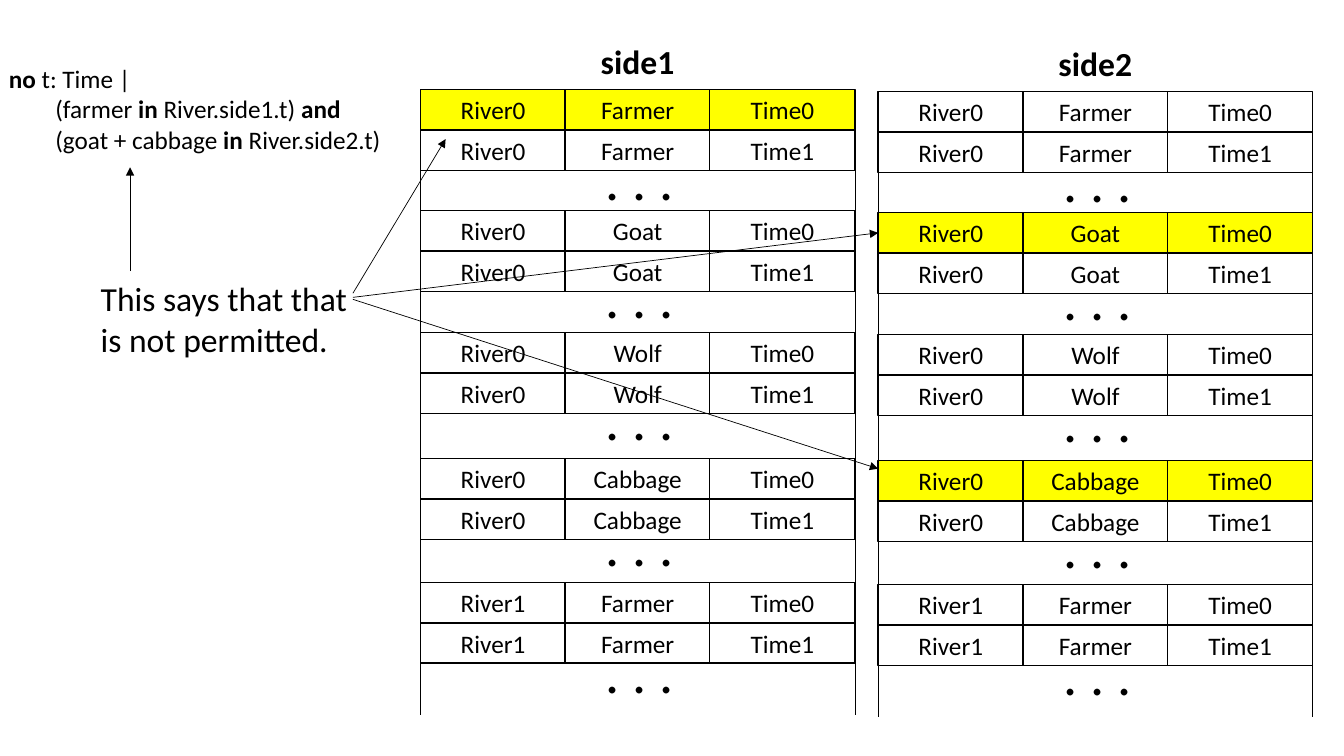
from dataclasses import dataclass

from lxml import etree
from pptx import Presentation
from pptx.dml.color import RGBColor
from pptx.enum.shapes import MSO_CONNECTOR, MSO_SHAPE
from pptx.enum.text import MSO_ANCHOR, MSO_AUTO_SIZE, PP_ALIGN
from pptx.oxml.ns import qn
from pptx.util import Inches, Pt

RECTANGLE = MSO_SHAPE.RECTANGLE
STRAIGHT = MSO_CONNECTOR.STRAIGHT
MIDDLE = MSO_ANCHOR.MIDDLE
CENTER = PP_ALIGN.CENTER
FIT_SHAPE = MSO_AUTO_SIZE.SHAPE_TO_FIT_TEXT


@dataclass(frozen=True)
class Theme:
    font: str = "Calibri"
    ink: RGBColor = RGBColor(0, 0, 0)
    plain: RGBColor = RGBColor(255, 255, 255)
    highlight: RGBColor = RGBColor(255, 255, 0)
    body: Pt = Pt(18)
    heading: Pt = Pt(24)
    dots: Pt = Pt(40)
    cell_line: Pt = Pt(1)
    thin_line: Pt = Pt(0.5)


theme = Theme()

presentation = Presentation()
presentation.slide_width = Inches(13.33)
presentation.slide_height = Inches(7.5)
slide = presentation.slides.add_slide(presentation.slide_layouts[6])


def add_text(box, lines, size, wrap=False, indents=None):
    shape = slide.shapes.add_textbox(*map(Inches, box))
    frame = shape.text_frame
    frame.word_wrap = wrap
    frame.auto_size = FIT_SHAPE
    for index, line in enumerate(lines):
        paragraph = frame.paragraphs[0] if index == 0 else frame.add_paragraph()
        if indents:
            paragraph._p.get_or_add_pPr().set("marL", str(Inches(indents[index])))
        for text, bold in line:
            run = paragraph.add_run()
            run.text = text
            run.font.color.rgb = theme.ink
            for name, value in {"name": theme.font, "size": size, "bold": bold}.items():
                setattr(run.font, name, value)


def add_line(start, end, arrow=False):
    connector = slide.shapes.add_connector(STRAIGHT, *map(Inches, start + end))
    connector.line.color.rgb = theme.ink
    connector.line.width = theme.thin_line
    properties = connector._element.spPr
    if arrow:
        etree.SubElement(properties.find(qn("a:ln")), qn("a:tailEnd"), type="triangle")
    etree.SubElement(properties, qn("a:effectLst"))


CELL_WIDTH, CELL_HEIGHT = 1.44, 0.4
COLUMN_STEP = 1.435
TABLE_WIDTH = 4.31

groups = [
    ("River0", "Farmer", 0.89, 1.38),
    ("River0", "Goat", 2.09, 2.56),
    ("River0", "Wolf", 3.3, 3.77),
    ("River0", "Cabbage", 4.55, 5.02),
    ("River1", "Farmer", 5.78, 6.28),
]
sides = [
    ("side1", 4.17, 0, {("River0", "Farmer", "Time0")}),
    ("side2", 8.71, 0.02, {("River0", "Goat", "Time0"), ("River0", "Cabbage", "Time0")}),
]

for side, left, drop, highlighted in sides:
    for river, passenger, group_top, dots_top in groups:
        for row, time in enumerate(("Time0", "Time1")):
            values = (river, passenger, time)
            for column, value in enumerate(values):
                cell = slide.shapes.add_shape(
                    RECTANGLE,
                    Inches(left + column * COLUMN_STEP),
                    Inches(group_top + drop + row * CELL_HEIGHT),
                    Inches(CELL_WIDTH),
                    Inches(CELL_HEIGHT),
                )
                cell.shadow.inherit = False
                cell.fill.solid()
                cell.fill.fore_color.rgb = theme.highlight if values in highlighted else theme.plain
                cell.line.color.rgb = theme.ink
                cell.line.width = theme.cell_line
                cell.text_frame.vertical_anchor = MIDDLE
                paragraph = cell.text_frame.paragraphs[0]
                paragraph.alignment = CENTER
                run = paragraph.add_run()
                run.text = value
                run.font.name = theme.font
                run.font.size = theme.body
                run.font.color.rgb = theme.ink
        add_text((left + 1.74, dots_top + drop, 0.88, 0.77), [[(". . .", False)]], theme.dots)
    add_text((left + 1.69, 0.36 + drop, 0.94, 0.5), [[(side, True)]], theme.heading)
    for edge in (left, left + TABLE_WIDTH):
        add_line((edge, 0.9 + drop), (edge, 7.09 + drop))

constraint = [
    [("no", True), (" t: Time |", False)],
    [("(farmer ", False), ("in", True), (" River.side1.t) ", False), ("and", True)],
    [("(goat + cabbage ", False), ("in", True), (" River.side2.t)", False)],
]
add_text((-0.01, 0.58, 4.03, 1.01), constraint, theme.body, wrap=True, indents=(0, 0.46, 0.46))

explanation = [[("This says that that", False)], [("is not permitted.", False)]]
add_text((0.9, 2.71, 2.67, 0.91), explanation, theme.heading)

arrows = [
    ((1.29, 2.69), (1.29, 1.66)),
    ((3.5, 2.91), (4.42, 1.38)),
    ((3.5, 2.95), (8.71, 2.31)),
    ((3.5, 2.97), (8.71, 4.65)),
]
for start, end in arrows:
    add_line(start, end, arrow=True)

presentation.save("out.pptx")
